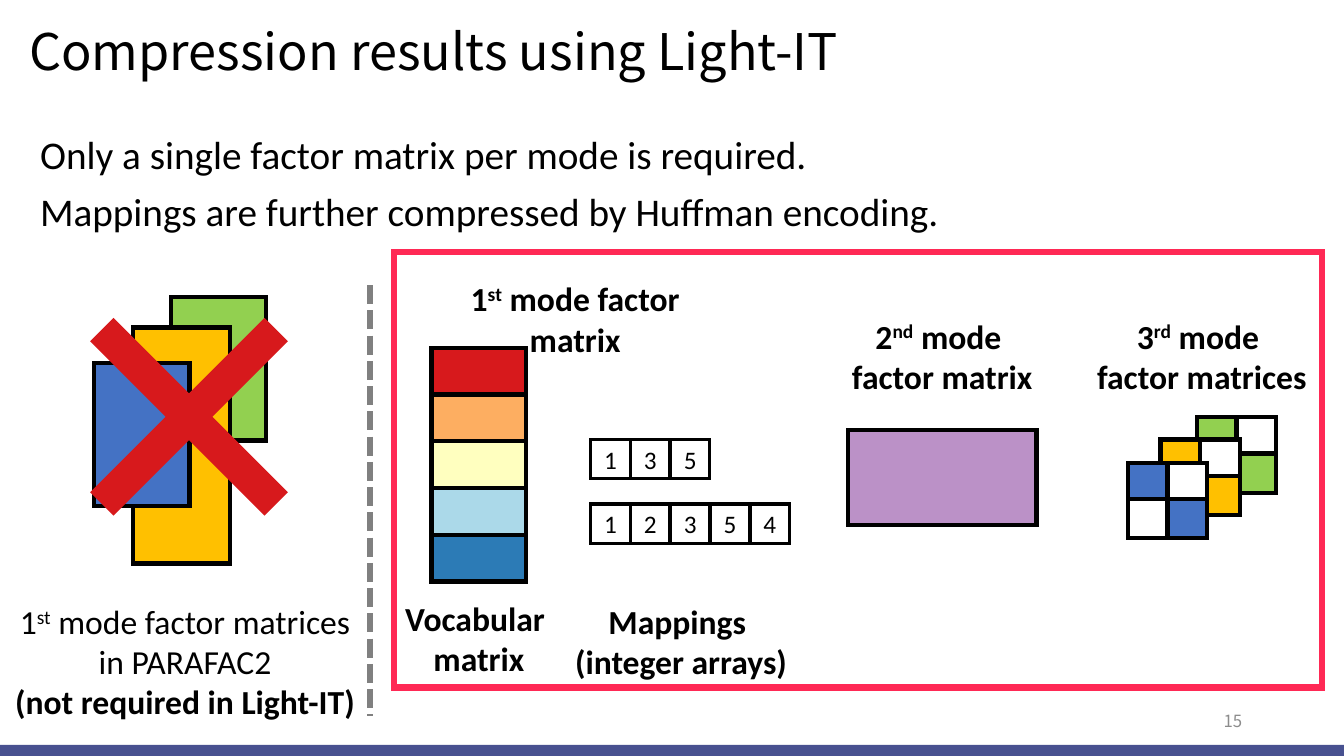
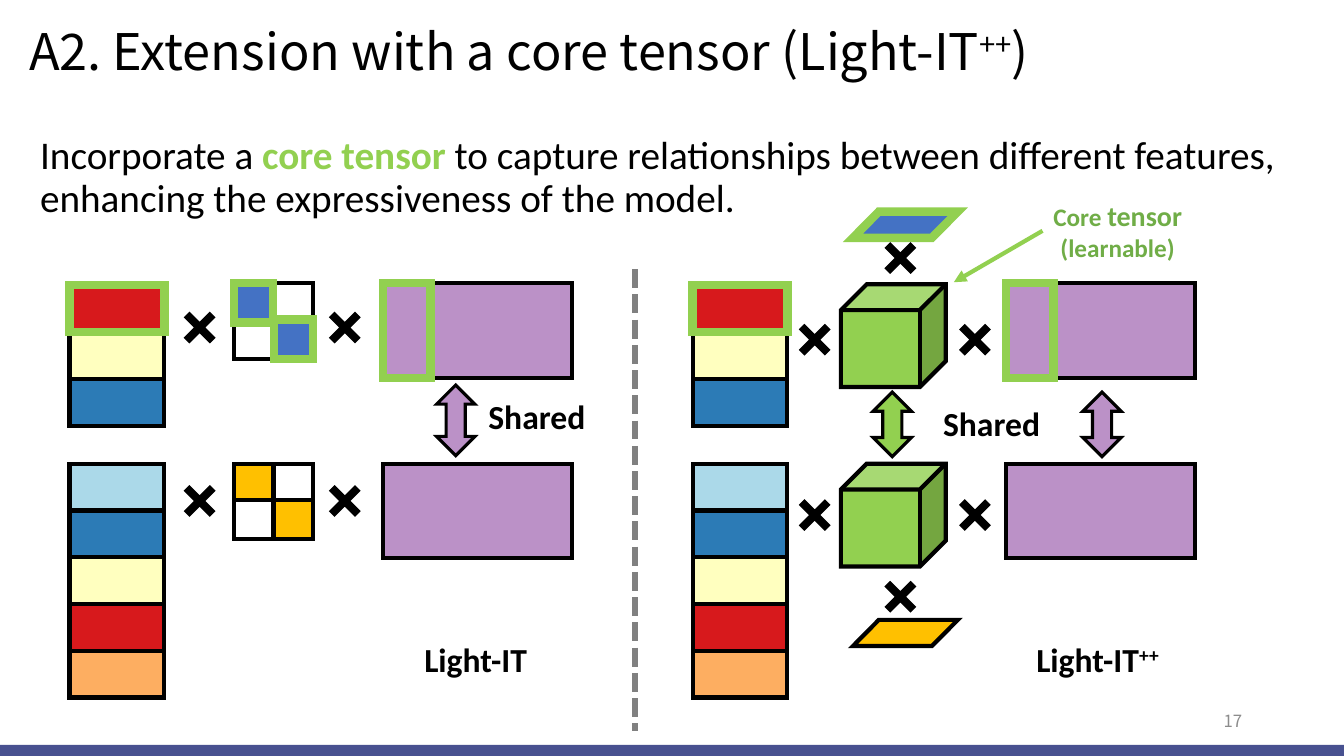
from dataclasses import dataclass

from lxml import etree
from pptx import Presentation
from pptx import util as u
from pptx.dml import color
from pptx.enum import dml, shapes, text
from pptx.oxml import ns

SCALE = 9144  # EMU per px, 100 px to the inch
SLIDE_W, SLIDE_H = 1333, 750
KIND = shapes.MSO_SHAPE
CENTER, RIGHT = text.PP_ALIGN.CENTER, text.PP_ALIGN.RIGHT
SUPER = {"raised": True}


@dataclass(frozen=True)
class Theme:
    # colours
    black: str = "000000"
    white: str = "FFFFFF"
    band: str = "364085"
    gray: str = "808080"
    page: str = "8C8C8C"
    red: str = "D7191C"
    orange: str = "FDAE61"
    cream: str = "FFFFBF"
    sky: str = "ABD9E9"
    ocean: str = "2C7BB6"
    green: str = "92D050"
    leaf: str = "70AD47"
    gold: str = "FFC000"
    blue: str = "4472C4"
    purple: str = "BB91C7"
    frame: str = "FF2955"
    # fonts and type sizes
    heading_font: str = "Noto Sans CJK KR"
    body_font: str = "Calibri"
    title: int = 36
    body: int = 28
    label: int = 24
    note: int = 20
    small: int = 18
    footer: int = 12
    # line widths
    thin: float = 1
    medium: float = 2.25
    outline: float = 3
    heavy: float = 4.5
    highlight: float = 6


T = Theme()


def px(*lengths):
    return [u.Emu(round(length * SCALE)) for length in lengths]


def rgb(value):
    return color.RGBColor.from_string(value)


def sub(parent, tag, **attributes):
    return etree.SubElement(parent, ns.qn(tag), **attributes)


# ---- drawing helpers ----
def add_shape(parts, kind, box, fill=None, line=T.black, width=T.outline, adjust=None):
    shape = parts.add_shape(kind, *px(*box))
    shape.shadow.inherit = False
    if fill:
        shape.fill.solid()
        shape.fill.fore_color.rgb = rgb(fill)
    else:
        shape.fill.background()
    if line:
        shape.line.color.rgb = rgb(line)
        shape.line.width = u.Pt(width)
        sub(shape.line._get_or_add_ln(), "a:miter", lim="800000")
    else:
        shape.line.fill.background()
    if adjust is not None:
        shape.adjustments[0] = adjust
    return shape


def add_line(slide, start, end, line, width):
    connector = slide.shapes.add_connector(shapes.MSO_CONNECTOR.STRAIGHT, *px(*start, *end))
    connector.line.color.rgb = rgb(line)
    connector.line.width = u.Pt(width)
    sub(connector._element.spPr, "a:effectLst")
    return connector


def add_divider(slide, x, top, bottom):
    divider = add_line(slide, (x, top), (x, bottom), T.gray, T.heavy)
    divider.line.dash_style = dml.MSO_LINE.SQUARE_DOT


def style_run(run, size, font=T.body_font, ink=T.black, bold=False, raised=False):
    run.font.size = u.Pt(size)
    run.font.name = font
    run.font.color.rgb = rgb(ink)
    run.font.bold = bold
    if raised:
        run._r.get_or_add_rPr().set("baseline", "30000")


def add_text(slide, box, lines, align=None, wrap=True, grow=False, middle=False,
             spacing=None, before=0, **style):
    """Each line is a string or a list of strings and (string, style) pairs."""
    frame = slide.shapes.add_textbox(*px(*box)).text_frame
    frame.word_wrap = wrap
    frame.auto_size = text.MSO_AUTO_SIZE.SHAPE_TO_FIT_TEXT if grow else text.MSO_AUTO_SIZE.NONE
    if middle:
        frame.vertical_anchor = text.MSO_ANCHOR.MIDDLE
    for number, line in enumerate(lines):
        paragraph = frame.add_paragraph() if number else frame.paragraphs[0]
        paragraph.alignment = align
        if spacing:
            paragraph.line_spacing = spacing
        if number and before:
            paragraph.space_before = u.Pt(before)
        for piece in [line] if isinstance(line, str) else line:
            words, changes = (piece, {}) if isinstance(piece, str) else piece
            run = paragraph.add_run()
            run.text = words
            style_run(run, **{**style, **changes})


def add_label(slide, box, lines, align=CENTER, wrap=False, bold=True, **style):
    add_text(slide, box, lines, align, wrap, grow=True,
             **{"size": T.label, "bold": bold, **style})


# ---- parts of the diagrams ----
def add_stack(slide, box, colours, highlight_first=False):
    x, y, w, h = box
    row_h = h / len(colours)
    rows = [((x, y + i * row_h, w, row_h), fill) for i, fill in enumerate(colours)]
    parts = slide.shapes.add_group_shape().shapes
    for cell, fill in rows[1:] if highlight_first else rows:
        add_shape(parts, KIND.RECTANGLE, cell, fill)
    if highlight_first:
        add_shape(parts, KIND.RECTANGLE, *rows[0], T.green, T.highlight)


def add_diagonal_grid(slide, x, y, fill, highlight=False):
    """A two by two grid whose main diagonal is coloured."""
    parts = slide.shapes.add_group_shape().shapes
    cells = [(x + col * 39.5, y + row * 36, 39, 39) for row in (0, 1) for col in (0, 1)]
    edge = (T.green, T.highlight) if highlight else (T.black, T.outline)
    plain = [(cells[i], T.white, T.black, T.outline) for i in (1, 2)]
    coloured = [(cells[i], fill, *edge) for i in (0, 3)]
    first, last = cells[0], cells[3]
    ordered = plain + coloured if highlight else [coloured[0], *plain, coloured[1]]
    for cell in ordered:
        add_shape(parts, KIND.RECTANGLE, *cell)


def add_mapping(slide, x, y, numbers):
    parts = slide.shapes.add_group_shape().shapes
    for i, number in enumerate(numbers):
        cell = add_shape(parts, KIND.RECTANGLE, (x + i * 39.5, y, 39, 39), width=T.medium)
        frame = cell.text_frame
        frame.text = number
        frame.vertical_anchor = text.MSO_ANCHOR.MIDDLE
        frame.paragraphs[0].alignment = CENTER
        style_run(frame.paragraphs[0].runs[0], T.small)


def add_matrix(slide, x, y):
    add_shape(slide.shapes, KIND.RECTANGLE, (x, y, 187, 94), T.purple)


def add_times(slide, x, y):
    add_shape(slide.shapes, KIND.MATH_MULTIPLY, (x, y, 48, 48), T.black, T.black, T.thin, 0.138)


def add_shared_arrow(slide, x, y, h, fill):
    add_shape(slide.shapes, KIND.UP_DOWN_ARROW, (x, y, 38, h), fill, width=T.medium)


# ---- shared slide frame ----
def add_frame(deck, title, body, page):
    slide = deck.slides.add_slide(deck.slide_layouts[6])
    band = add_shape(slide.shapes, KIND.RECTANGLE, (0, 739, SLIDE_W, 11), T.band, None)
    sub(band._element.spPr.find(".//" + ns.qn("a:srgbClr")), "a:alpha", val="91000")
    add_text(slide, (19, 15, 1284, 77), [title], middle=True, spacing=0.9,
             size=T.title, font=T.heading_font)
    add_text(slide, (30, 130, 1273, 546), body, spacing=0.9, before=10, size=T.body)
    add_text(slide, (942, 695, 300, 40), [page], RIGHT, middle=True,
             size=T.footer, font=T.heading_font, ink=T.page)
    return slide


# ---- slide 15 ----
def parafac_region(slide, x, y):
    parts = slide.shapes.add_group_shape().shapes
    for dx, dy, w, h, fill in [(167, 47, 94, 142, T.green), (129, 77, 96, 234, T.gold),
                               (90, 112, 95, 142, T.blue)]:
        add_shape(parts, KIND.RECTANGLE, (x + dx, y + dy, w, h), fill)
    add_shape(slide.shapes, KIND.MATH_MULTIPLY, (x + 19, y, 331, 331),
              T.red, T.red, T.thin, 0.095)
    add_label(slide, (x, y + 343, 361, 131),
              [["1", ("st", SUPER), " mode factor matrices"], "in PARAFAC2",
               [("(not required in Light-IT)", {"bold": True})]], bold=False)


def light_it_region(slide, x, y, w, h):
    add_stack(slide, (x + 37, y + 95, 94, 232), [T.red, T.orange, T.cream, T.sky, T.ocean])
    for dx, dy, fill in [(796, 164, T.green), (760, 186, T.gold), (728, 209, T.blue)]:
        add_diagonal_grid(slide, x + dx, y + dy, fill)
    add_matrix(slide, x + 450, y + 177)
    add_mapping(slide, x + 195, y + 186, "135")
    add_mapping(slide, x + 195, y + 250, "12354")
    add_label(slide, (x + 48, y + 21, 263, 91),
              [["1", ("st", SUPER), " mode factor matrix"]], wrap=True)
    for dx, dy, label_w, lines in [
        (443, 58, 201, [["2", ("nd", SUPER), " mode "], "factor matrix"]),
        (686, 58, 230, [["3", ("rd", SUPER), " mode "], "factor matrices"]),
        (0, 338, 168, ["Vocabular ", "matrix"]),
        (168, 341, 233, ["Mappings ", "(integer arrays)"]),
    ]:
        add_label(slide, (x + dx, y + dy, label_w, 91), lines)
    add_shape(slide.shapes, KIND.RECTANGLE, (x, y, w, h), None, T.frame, T.heavy)


def compression_slide(deck):
    slide = add_frame(deck, "Compression results using Light-IT",
                      ["Only a single factor matrix per mode is required.",
                       "Mappings are further compressed by Huffman encoding."], "15")
    parafac_region(slide, 3, 248)
    add_divider(slide, 367, 283, 710)
    light_it_region(slide, 391, 250, 920, 432)


# ---- slide 17 ----
def common_factors(slide, x, y):
    add_stack(slide, (x, y + 2, 94, 140), [T.red, T.cream, T.ocean], highlight_first=True)
    add_stack(slide, (x, y + 179, 94, 232), [T.sky, T.ocean, T.cream, T.red, T.orange])
    for dy in (0, 179):
        add_matrix(slide, x + 311, y + dy)
    add_shape(slide.shapes, KIND.RECTANGLE, (x + 311, y, 47, 94), None, T.green, T.highlight)


def light_it_model(slide, x, y):
    common_factors(slide, x, y)
    add_diagonal_grid(slide, x + 163, y, T.blue, highlight=True)
    add_diagonal_grid(slide, x + 163, y + 179, T.gold)
    for dy in (20, 192):
        for dx in (105, 249):
            add_times(slide, x + dx, y + dy)
    add_shared_arrow(slide, x + 364, y + 101, 70, T.purple)
    add_label(slide, (x + 385, y + 107, 157, 50), ["Shared"], wrap=True)
    add_label(slide, (x + 342, y + 348, 124, 50), ["Light-IT"], align=None)


def core_tensor_model(slide, x, y):
    common_factors(slide, x, y)
    for dy in (1, 179):
        add_shape(slide.shapes, KIND.CUBE, (x + 147, y + dy, 104, 102), T.green, adjust=0.252)
    for dy, fill, line, width in [(-71, T.blue, T.green, T.highlight),
                                  (334, T.gold, T.black, T.outline)]:
        add_shape(slide.shapes, KIND.PARALLELOGRAM, (x + 159, y + dy, 104, 26),
                  fill, line, width, 0.988)
    for dx, dy in [(97, 32), (256, 32), (97, 206), (256, 206), (182, -49), (182, 287)]:
        add_times(slide, x + dx, y + dy)
    for dx, fill in [(179, T.green), (387, T.purple)]:
        add_shared_arrow(slide, x + dx, y + 108, 64, fill)
    add_label(slide, (x + 218, y + 114, 157, 50), ["Shared"], wrap=True)
    add_label(slide, (x + 331, y + 348, 147, 50), [["Light-IT", ("++", SUPER)]], align=None)
    # callout for the core tensor
    add_label(slide, (x + 347, y - 89, 149, 74),
              [["Core ", ("tensor", {"size": T.note})], "(learnable)"], size=T.small, ink=T.leaf)
    pointer = add_line(slide, (x + 347, y - 52), (x + 259, y - 1), T.green, T.outline)
    sub(pointer.line._get_or_add_ln(), "a:tailEnd", type="triangle")


def extension_slide(deck):
    slide = add_frame(
        deck, ["A2. Extension with a core tensor (Light-IT", ("++", SUPER), ")"],
        [["Incorporate a ", ("core tensor", {"ink": T.green, "bold": True}),
          " to capture relationships between different features, "
          "enhancing the expressiveness of the model."]], "17")
    light_it_model(slide, 69, 281)
    core_tensor_model(slide, 687, 281)
    add_divider(slide, 630, 267, 725)


def main():
    deck = Presentation()
    deck.slide_width, deck.slide_height = px(SLIDE_W, SLIDE_H)
    compression_slide(deck)
    extension_slide(deck)
    deck.save("out.pptx")


if __name__ == "__main__":
    main()
